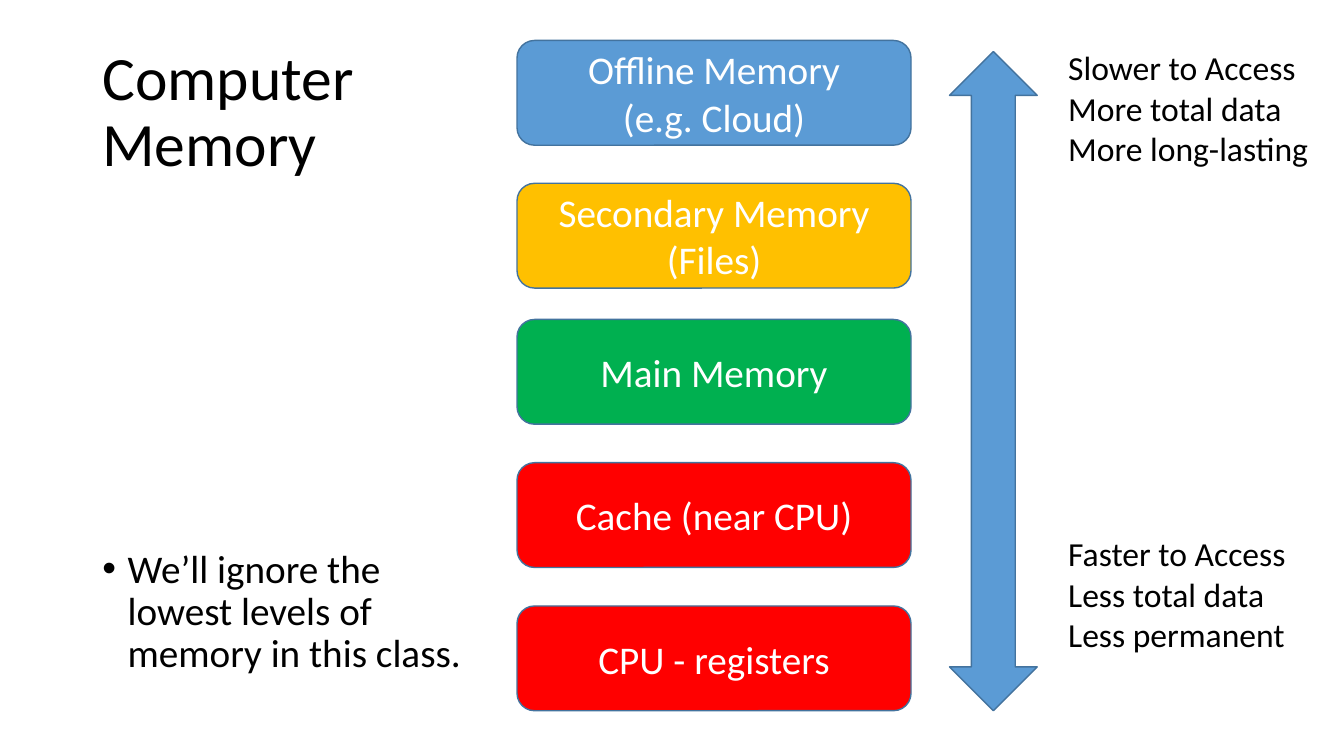
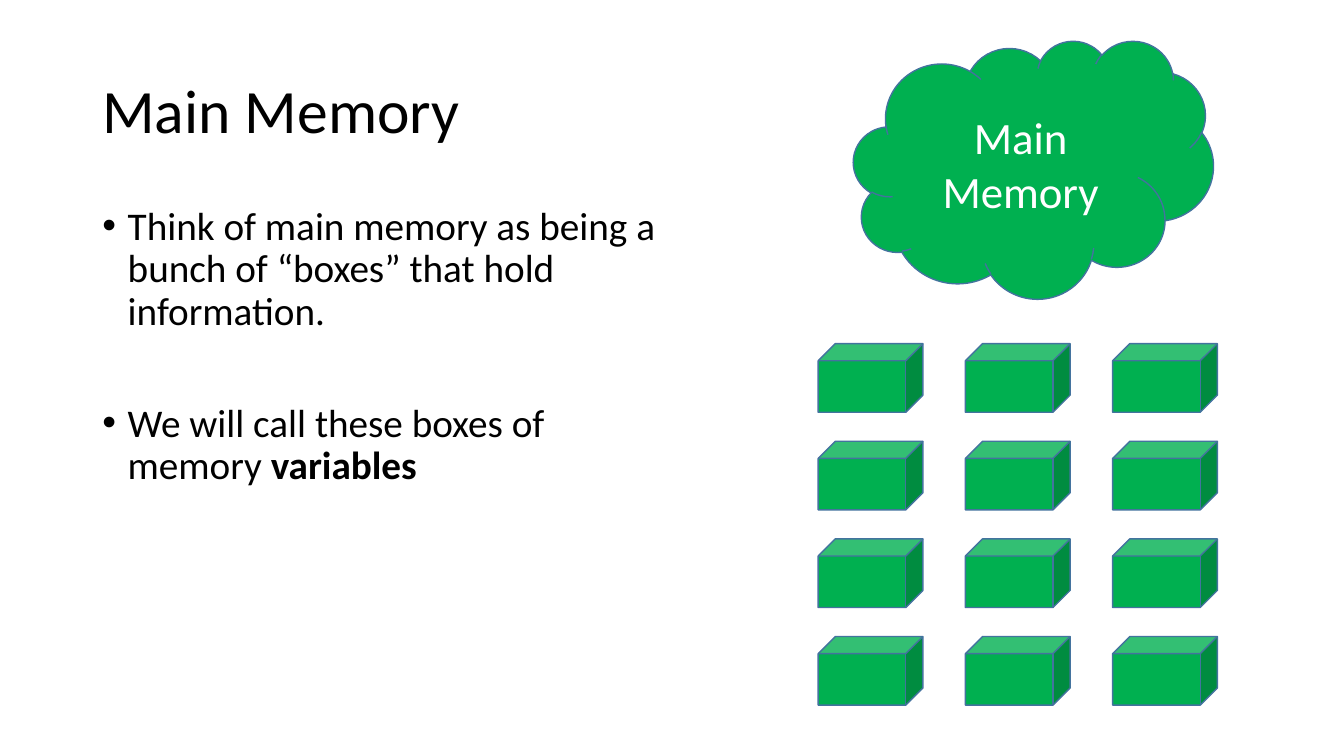
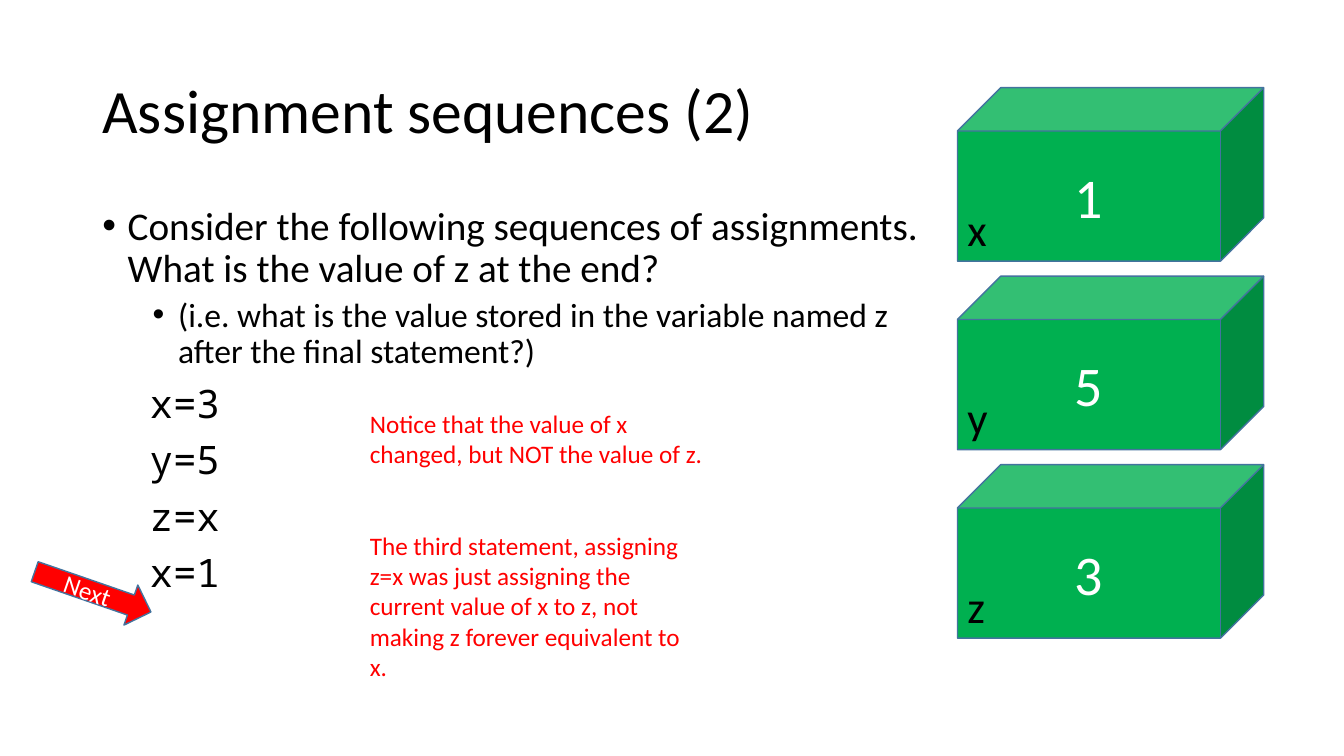
from lxml.etree import SubElement
from pptx import Presentation
from pptx.dml.color import RGBColor
from pptx.enum.shapes import MSO_SHAPE
from pptx.enum.text import MSO_ANCHOR, PP_ALIGN
from pptx.oxml.ns import qn
from pptx.util import Cm, Pt

COLORS = {"text": "000000", "white": "FFFFFF", "outline": "43739E", "blue": "5B9BD5",
          "amber": "FFC000", "green": "00B050", "red": "FF0000"}
BODY = {"size": 28, "spacing": 0.9, "before": 10}
BULLET = {**BODY, "indent": 0.64, "bullet": True}
CODE = {**BODY, "indent": 1.19, "font": "Noto Sans Mono"}
LABEL = {"color": "white", "align": PP_ALIGN.CENTER}


def place(shapes, box, preset=None, fill=None, anchor=MSO_ANCHOR.TOP, wrap=True):
    """Add a text box, or a filled preset shape, at a box given in centimetres."""
    lengths = [Cm(length) for length in box]
    if preset is None:
        part = shapes.add_textbox(*lengths)
    else:
        part = shapes.add_shape(preset, *lengths)
        part.shadow.inherit = False
        part.fill.solid()
        part.fill.fore_color.rgb = RGBColor.from_string(COLORS[fill])
        part.line.color.rgb = RGBColor.from_string(COLORS["outline"])
        part.line.width = Pt(1)
        anchor = MSO_ANCHOR.MIDDLE
    part.text_frame.word_wrap = wrap
    part.text_frame.vertical_anchor = anchor
    return part


def write(part, text, size=28, color="text", font="Calibri", align=PP_ALIGN.LEFT,
          spacing=1.0, before=0, indent=0, bullet=False, level=0, bold_end=""):
    """Write one paragraph, with an optional bold ending, into a shape."""
    frame = part.text_frame
    paragraph = frame.paragraphs[0] if not frame.text else frame.add_paragraph()
    paragraph.text = text
    if bold_end:
        paragraph.add_run().text = bold_end
        paragraph.runs[-1].font.bold = True
    for run in paragraph.runs:
        run.font.size = Pt(size)
        run.font.name = font
        run.font.color.rgb = RGBColor.from_string(COLORS[color])
    paragraph.alignment = align
    paragraph.line_spacing = spacing
    paragraph.space_before = Pt(before)
    paragraph.level = level
    properties = paragraph._p.get_or_add_pPr()
    properties.set("marL", str(Cm(indent)))
    properties.set("indent", str(-Cm(0.64) if bullet else 0))
    if bullet:
        SubElement(properties, qn("a:buFont"), typeface="Arial")
        SubElement(properties, qn("a:buChar"), char="•")


deck = Presentation()
deck.slide_width, deck.slide_height = Cm(33.87), Cm(19.05)

# Every slide: title and body area
pages, bodies = [], []
for title, title_width, body_width, body_anchor in [
    ("Computer\vMemory", 9.7, 9.7, MSO_ANCHOR.BOTTOM),
    ("Main Memory", 29.21, 14.71, MSO_ANCHOR.TOP),
    ("Assignment sequences (2)", 29.21, 21.29, MSO_ANCHOR.TOP),
]:
    page = deck.slides.add_slide(deck.slide_layouts[6]).shapes
    heading = place(page, (2.33, 1.02, title_width, 3.68), anchor=MSO_ANCHOR.MIDDLE)
    write(heading, title, size=44, spacing=0.9)
    pages.append(page)
    bodies.append(place(page, (2.33, 5.08, body_width, 12.09), anchor=body_anchor))
hierarchy, boxes, assignments = pages
hierarchy_body, boxes_body, assignments_body = bodies

# Slide 1: memory hierarchy
write(hierarchy_body, "We’ll ignore the lowest levels of memory in this class.", **BULLET)
for top, fill, names in [
    (1.02, "blue", ["Offline Memory", "(e.g. Cloud)"]),
    (4.62, "amber", ["Secondary Memory (Files)"]),
    (8.05, "green", ["Main Memory"]),
    (11.66, "red", ["Cache (near CPU)"]),
    (15.27, "red", ["CPU - registers"]),
]:
    memory_level = place(hierarchy, (13.03, top, 9.93, 2.64),
                         MSO_SHAPE.ROUNDED_RECTANGLE, fill)
    for name in names:
        write(memory_level, name, **LABEL)
for top, width, traits in [
    (1.07, 6.63, ["Slower to Access", "More total data", "More long-lasting"]),
    (13.31, 6.05, ["Faster to Access", "Less total data", "Less permanent"]),
]:
    extreme = place(hierarchy, (26.67, top, width, 3.33), wrap=False)
    for trait in traits:
        write(extreme, trait, size=24)
place(hierarchy, (23.93, 1.3, 2.21, 16.61), MSO_SHAPE.UP_DOWN_ARROW, "blue")

# Slide 2: main memory as boxes
write(boxes_body, "Think of main memory as being a bunch of “boxes” that hold information.",
      **BULLET)
write(boxes_body, "We will call these boxes of memory ", bold_end="variables",
      **{**BULLET, "before": 50})
cloud = place(boxes, (21.51, 1.02, 9.07, 6.5), MSO_SHAPE.CLOUD, "green")
write(cloud, "Main Memory", size=32, **LABEL)
memory_grid = boxes.add_group_shape().shapes
for row in range(4):
    for column in range(3):
        place(memory_grid, (20.62 + 3.71 * column, 8.66 + 2.46 * row, 2.64, 1.73),
              MSO_SHAPE.CUBE, "green")

# Slide 3: assignment sequence
write(assignments_body, "Consider the following sequences of assignments.  "
      "What is the value of z at the end?", **BULLET)
write(assignments_body, "(i.e. what is the value stored in the variable named z "
      "after the final statement?)",
      **{**BULLET, "size": 24, "before": 5, "indent": 1.91, "level": 1})
for statement in ["x=3", "y=5", "z=x", "x=1"]:
    write(assignments_body, statement, **CODE)
next_step = place(assignments, (0.79, 14.38, 3.1, 1.07), MSO_SHAPE.RIGHT_ARROW, "red")
next_step.rotation = 19.1
write(next_step, "Next", size=18, **LABEL)
for index, (variable, value) in enumerate([("x", "1"), ("y", "5"), ("z", "3")]):
    top = 2.21 + 4.75 * index
    variable_box = assignments.add_group_shape().shapes
    cube = place(variable_box, (24.13, top, 7.72, 4.37), MSO_SHAPE.CUBE, "green")
    write(cube, value, size=40, **LABEL)
    tag = place(variable_box, (24.13, top + 2.74, 1.02, 1.63), wrap=False)
    write(tag, variable, size=32)
explanation = place(assignments, (9.07, 10.16, 8.89, 7.19))
write(explanation, "Notice that the value of x changed, but NOT the value of z.",
      size=18, color="red")
write(explanation, "The third statement, assigning z=x was just assigning the current "
      "value of x to z, not making z forever equivalent to x.",
      size=18, color="red", before=44)

deck.save("out.pptx")
